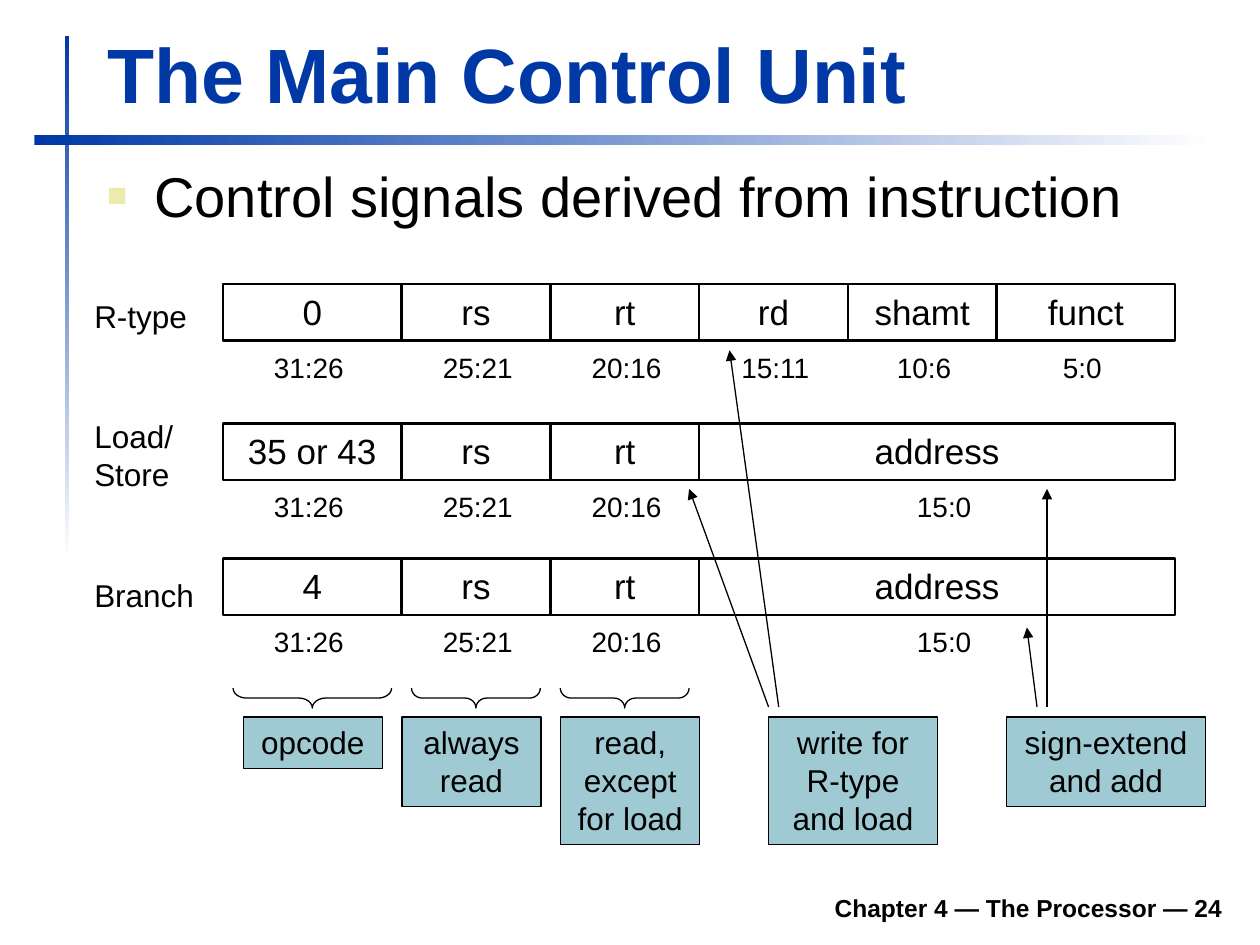
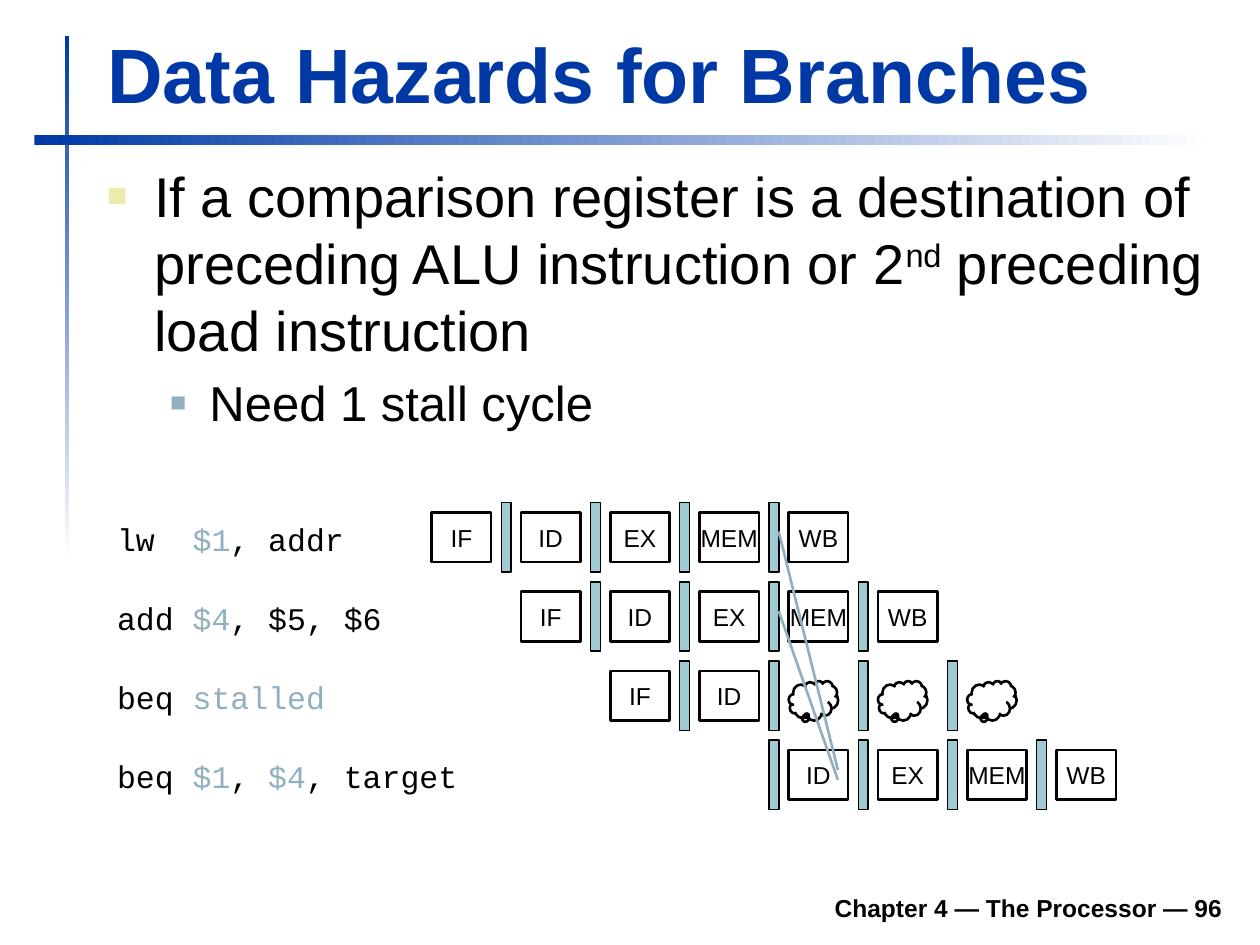
"""Build two processor lecture slides: instruction fields and pipeline stalls."""
import pptx
import pptx.util
import pptx.dml.color
import pptx.enum.shapes
import pptx.enum.text
import pptx.oxml
import pptx.oxml.ns

Pt = pptx.util.Pt
RGB = pptx.dml.color.RGBColor
SHAPE = pptx.enum.shapes.MSO_SHAPE
ALIGN = pptx.enum.text.PP_ALIGN
ANCHOR = pptx.enum.text.MSO_ANCHOR
FIT = pptx.enum.text.MSO_AUTO_SIZE

BLUE = RGB(0x00, 0x39, 0xA6)
WHITE = RGB(0xFF, 0xFF, 0xFF)
BLACK = RGB(0x00, 0x00, 0x00)
TEAL = RGB(0x9F, 0xCA, 0xD3)
STEEL = RGB(0x91, 0xAF, 0xBF)
CREAM = RGB(0xEC, 0xEA, 0xAC)

FOOTER = "Chapter 4 — The Processor — {}"
# Level: text size, left margin, hanging indent, space before, bullet colour, bullet percent
LEVELS = [(32, 27, 27, 0, CREAM, 60), (28, 58.5, 22.5, 5.6, STEEL, 55)]

CONTROL = ("The Main Control Unit", 24, 54.7, [(0, "Control signals derived from instruction")])
HAZARD = ("Data Hazards for Branches", 96, 187.2, [
    (0, "If a comparison register is a destination of preceding ALU instruction "
        "or 2|nd| preceding load instruction"),
    (1, "Need 1 stall cycle")])

FORMATS = [
    ("R-type", 166.3, 162.3, [("0", "31:26"), ("rs", "25:21"), ("rt", "20:16"),
                              ("rd", "15:11"), ("shamt", "10:6"), ("funct", "5:0")]),
    ("Load/\nStore", 234.7, 242, [("35 or 43", "31:26"), ("rs", "25:21"), ("rt", "20:16"),
                                  ("address", "15:0")]),
    ("Branch", 325.4, 319, [("4", "31:26"), ("rs", "25:21"), ("rt", "20:16"),
                            ("address", "15:0")])]
NOTES = [("opcode", 139, 79.4, 1), ("always read", 229.7, 79.4, 2),
         ("read, except for load", 320.4, 79.4, 3),
         ("write for R-type and load", 439.2, 96.4, 3),
         ("sign-extend and add", 575.3, 113.4, 2)]
ARROWS = [(439.2, 393.8, 279.4), (445, 416.9, 200.2), (592.6, 586.8, 358.6), (598.3, 598.3, 279.4)]

BUBBLE = "~"
PIPES = [("lw  |$1|, addr", ["IF", "ID", "EX", "MEM", "WB"]),
         ("add |$4|, $5, $6", ["IF", "ID", "EX", "MEM", "WB"]),
         ("beq |stalled", ["IF", "ID", BUBBLE, BUBBLE, BUBBLE]),
         ("beq |$1|, |$4|, target", ["", "ID", "EX", "MEM", "WB"])]
FORWARDS = [(303.8, 440), (349.2, 445.7)]


def style(runs, size, color=BLACK, bold=False, name="Arial"):
    for run in runs:
        font = run.font
        font.name, font.size, font.bold = name, Pt(size), bold
        font.color.rgb = color


def box(slide, kind, x, y, w, h, fill=None, line=0.75):
    shape = slide.shapes.add_shape(kind, Pt(x), Pt(y), Pt(w), Pt(h))
    shape.shadow.inherit = False
    if fill is None:
        shape.fill.background()
    else:
        shape.fill.solid()
        shape.fill.fore_color.rgb = fill
    shape.line.color.rgb = BLACK
    shape.line.width = Pt(line)
    return shape


def write(shape, text, size, align=ALIGN.CENTER, anchor=ANCHOR.TOP, wrap=True, bold=False):
    frame = shape.text_frame
    frame.text = text
    frame.word_wrap = wrap
    frame.vertical_anchor = anchor
    for para in frame.paragraphs:
        para.alignment = align
        style(para.runs, size, bold=bold)


def label(slide, text, x, y, w, h, size, **look):
    area = slide.shapes.add_textbox(Pt(x), Pt(y), Pt(w), Pt(h))
    write(area, text, size, **look)
    return area


def link(slide, x1, y1, x2, y2, color, width, arrow=False):
    line = slide.shapes.add_connector(pptx.enum.shapes.MSO_CONNECTOR.STRAIGHT,
                                      Pt(x1), Pt(y1), Pt(x2), Pt(y2))
    line.line.color.rgb = color
    line.line.width = Pt(width)
    props = line.element.spPr
    if arrow:
        tail = pptx.oxml.ns.qn("a:tailEnd")
        stroke = props.find(pptx.oxml.ns.qn("a:ln"))
        stroke.append(stroke.makeelement(tail, {"type": "triangle"}))
    props.append(props.makeelement(pptx.oxml.ns.qn("a:effectLst"), {}))


def band(slide, x, y, w, h, angle):
    shape = box(slide, SHAPE.RECTANGLE, x, y, w, h)
    shape.line.fill.background()
    shape.fill.gradient()
    shape.fill.gradient_angle = angle
    for stop, color in zip(shape.fill.gradient_stops, (BLUE, WHITE)):
        stop.color.rgb = color


def place(holder, x, y, w, h):
    holder.left, holder.top, holder.width, holder.height = Pt(x), Pt(y), Pt(w), Pt(h)
    holder.text_frame.auto_size = FIT.NONE
    holder.text_frame.word_wrap = True


def bullet(para, level, text):
    size, margin, hang, before, color, scale = LEVELS[level]
    para.level = level
    props = para._p.get_or_add_pPr()
    props.set("marL", str(Pt(margin)))
    props.set("indent", str(-Pt(hang)))
    space = pptx.oxml.ns.nsdecls("a")
    for xml in (f'<a:buClr {space}><a:srgbClr val="{color}"/></a:buClr>',
                f'<a:buSzPct {space} val="{scale * 1000}"/>',
                f'<a:buFont {space} typeface="Arial"/>',
                f'<a:buChar {space} char="■"/>'):
        props.append(pptx.oxml.parse_xml(xml))
    para.space_before = Pt(before)
    for turn, part in enumerate(text.split("|")):
        run = para.add_run()
        run.text = part
        style([run], size)
        if turn % 2:
            run.font._element.set("baseline", "30000")


def start(deck, title, number, height, points):
    slide = deck.slides.add_slide(deck.slide_layouts[1])
    band(slide, 37, 20.4, 2.6, 300, 270)
    band(slide, 19.7, 77, 674.6, 5.8, 0)
    label(slide, FOOTER.format(number), 133.2, 502.6, 572.4, 28, 14,
          align=ALIGN.RIGHT, anchor=ANCHOR.BOTTOM, bold=True)
    head, body = slide.placeholders
    place(head, 54, 11.5, 650.2, 59.8)
    write(head, title, 44, align=ALIGN.LEFT, anchor=ANCHOR.BOTTOM)
    style(head.text_frame.paragraphs[0].runs, 44, BLUE, True)
    place(body, 54, 88.5, 651.6, height)
    frame = body.text_frame
    for turn, (level, text) in enumerate(points):
        para = frame.add_paragraph() if turn else frame.paragraphs[0]
        bullet(para, level, text)
    return slide


def control(deck):
    slide = start(deck, *CONTROL)
    left, bit = 127.5, 17
    for name, name_y, y, fields in FORMATS:
        label(slide, name, 46.8, name_y, 78, 28.8, 18, align=ALIGN.LEFT, wrap=False)
        for text, bits in fields:
            high, low = map(int, bits.split(":"))
            x, w = left + (31 - high) * bit, (high - low + 1) * bit
            write(box(slide, SHAPE.RECTANGLE, x, y, w, 32.4, line=1.5), text, 20)
            wide = 9 * len(bits) + 9.5
            shift = {102: -2, 85: 1}.get(w, 4)
            label(slide, bits, x + (w - wide) / 2 + shift, y + 34.4, wide, 26.6, 16, wrap=False)
            if name == "Branch" and text != "address":
                span, thick = w - 11.4, 11.4
                brace = box(slide, SHAPE.LEFT_BRACE, x + (w - thick) / 2,
                            398.9 - span / 2, thick, span)
                brace.rotation = 270
                brace.adjustments[0] = 0.67 if w > 85 else 0.54
    for text, x, w, lines in NOTES:
        write(box(slide, SHAPE.RECTANGLE, x, 409.7, w, 8 + 21.6 * lines, TEAL), text, 18)
    for x1, x2, y2 in ARROWS:
        link(slide, x1, 404, x2, y2, BLACK, 0.75, True)


def hazard(deck):
    slide = start(deck, *HAZARD)
    left, top, step, drop, gap = 246.7, 293, 51, 45.2, 5.7
    for row, (code, stages) in enumerate(PIPES):
        y = top + row * drop
        area = label(slide, "", 59.8, y + 0.5, 14.4 + 10.8 * len(code.replace("|", "")), 28.8, 18,
                     align=ALIGN.LEFT, wrap=False)
        for turn, part in enumerate(code.split("|")):
            run = area.text_frame.paragraphs[0].add_run()
            run.text = part
            style([run], 18, STEEL if turn % 2 else BLACK, name="Courier New")
        for turn, stage in enumerate(stages):
            x = left + (row + turn) * step
            if stage == BUBBLE:
                cloud = box(slide, SHAPE.CLOUD_CALLOUT, x, y + gap, 28.3, 22.6, line=1.5)
                cloud.adjustments[0], cloud.adjustments[1] = -0.13, 0.36
            elif stage:
                write(box(slide, SHAPE.RECTANGLE, x, y, 34, 28.3, line=1.5), stage, 14,
                      anchor=ANCHOR.MIDDLE, wrap=False)
            if turn < len(stages) - 1:
                box(slide, SHAPE.RECTANGLE, x + 39.7, y - gap, gap, 39.6, TEAL)
    for y1, y2 in FORWARDS:
        link(slide, 445, y1, 478.8, y2, STEEL, 1.5)


def main():
    deck = pptx.Presentation()
    deck.slide_width, deck.slide_height = Pt(720), Pt(540)
    control(deck)
    hazard(deck)
    deck.save("out.pptx")


if __name__ == "__main__":
    main()
